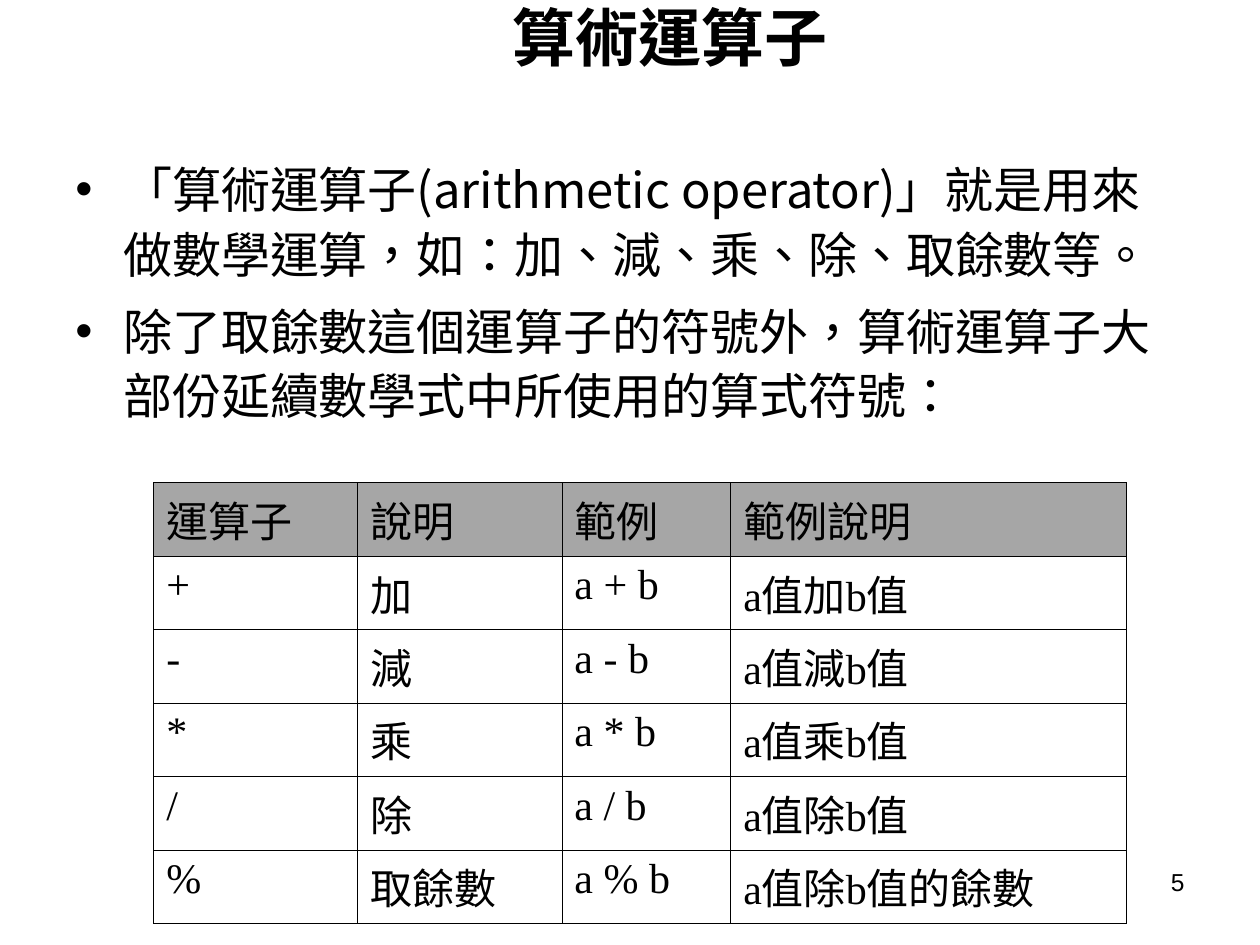
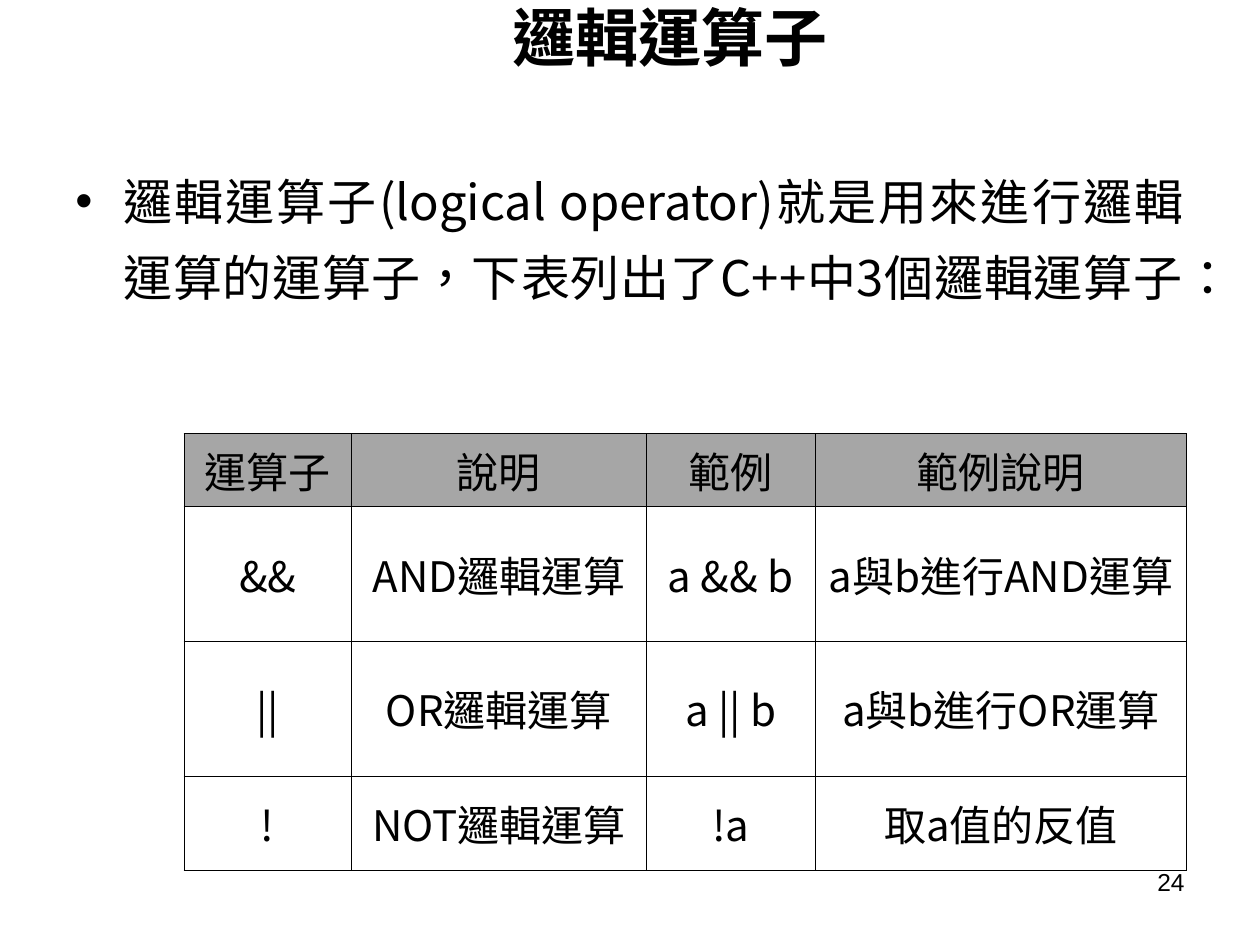
from dataclasses import dataclass

from lxml.etree import SubElement
from pptx import Presentation
from pptx.dml.color import RGBColor
from pptx.enum.text import MSO_ANCHOR, MSO_AUTO_SIZE, PP_ALIGN
from pptx.oxml.ns import qn
from pptx.util import Inches, Pt


# Theme: colours, fonts and type sizes
@dataclass(frozen=True)
class Theme:
    ink: RGBColor = RGBColor(0x00, 0x00, 0x00)
    paper: RGBColor = RGBColor(0xFF, 0xFF, 0xFF)
    header: RGBColor = RGBColor(0xA6, 0xA6, 0xA6)
    heading_font: str = "Arial"
    body_font: str = "Noto Sans CJK SC"
    serif_font: str = "Times New Roman"
    title_size: int = 36
    body_size: int = 28
    table_size: int = 24
    number_size: int = 14
    border: float = 0.45
    hanging: float = 0.38


THEME = Theme()
TITLE_AREA = (1.14, 0, 8.36, 0.58)
NUMBER_AREA = (7.17, 6.83, 2.33, 0.52)
HEADINGS = ("運算子", "說明", "範例", "範例說明")


@dataclass(frozen=True)
class OperatorTable:
    left: float
    top: float
    columns: tuple
    heights: tuple
    rows: tuple
    font: str
    centred: bool = False


@dataclass(frozen=True)
class OperatorPage:
    title: str
    number: str
    bullets: tuple
    body_height: float
    line_spacing: float
    alignment: PP_ALIGN
    table: OperatorTable


# Contents
PAGES = (
    OperatorPage(
        title="算術運算子",
        number="5",
        bullets=(
            "「算術運算子(arithmetic operator)」就是用來做數學運算，如：加、減、乘、除、取餘數等。",
            "除了取餘數這個運算子的符號外，算術運算子大部份延續數學式中所使用的算式符號：",
        ),
        body_height=2.58,
        line_spacing=1.1,
        alignment=PP_ALIGN.LEFT,
        table=OperatorTable(
            left=1.22, top=3.83,
            columns=(1.62, 1.62, 1.34, 3.14),
            heights=(3.5 / 6,) * 6,
            rows=(
                ("+", "加", "a + b", "a值加b值"),
                ("-", "減", "a - b", "a值減b值"),
                ("*", "乘", "a * b", "a值乘b值"),
                ("/", "除", "a / b", "a值除b值"),
                ("%", "取餘數", "a % b", "a值除b值的餘數"),
            ),
            font=THEME.serif_font,
        ),
    ),
    OperatorPage(
        title="邏輯運算子",
        number="24",
        bullets=(
            "邏輯運算子(logical operator)就是用來進行邏輯運算的運算子，下表列出了C++中3個邏輯運算子：",
        ),
        body_height=5.5,
        line_spacing=1.3,
        alignment=PP_ALIGN.JUSTIFY,
        table=OperatorTable(
            left=1.46, top=3.44,
            columns=(1.33, 2.34, 1.34, 2.95),
            heights=(0.58, 1.07, 1.07, 0.75),
            rows=(
                ("&&", "AND邏輯運算", "a && b", "a與b進行AND運算"),
                ("||", "OR邏輯運算", "a || b", "a與b進行OR運算"),
                ("!", "NOT邏輯運算", "!a", "取a值的反值"),
            ),
            font=THEME.body_font,
            centred=True,
        ),
    ),
)


# Text helpers
def set_all(target, values: dict) -> None:
    for name, value in values.items():
        setattr(target, name, value)


def write(para, text: str, font: str, size: int, bold: bool = False) -> None:
    span = para.add_run()
    span.text = text
    set_all(span.font, {"name": font, "size": Pt(size), "bold": bold})
    span.font.color.rgb = THEME.ink
    properties = span.font._element
    properties.set("lang", "zh-TW")
    SubElement(properties, qn("a:ea"), typeface=THEME.body_font)


def hang(para) -> None:
    properties = para._p.get_or_add_pPr()
    properties.set("marL", str(Inches(THEME.hanging)))
    properties.set("indent", str(-Inches(THEME.hanging)))


def add_bullet(para) -> None:
    hang(para)
    properties = para._p.get_or_add_pPr()
    colour = SubElement(properties, qn("a:buClr"))
    SubElement(colour, qn("a:srgbClr"), val=str(THEME.ink))
    SubElement(properties, qn("a:buFont"), typeface=THEME.heading_font)
    SubElement(properties, qn("a:buChar"), char="•")


def add_box(page, area: tuple):
    box = page.shapes.add_textbox(*map(Inches, area))
    box.text_frame.word_wrap = True
    return box.text_frame


# Slide parts
def draw_title(page, text: str) -> None:
    title = page.shapes.title
    set_all(title, dict(zip(("left", "top", "width", "height"), map(Inches, TITLE_AREA))))
    set_all(title.text_frame, {
        "vertical_anchor": MSO_ANCHOR.MIDDLE,
        "auto_size": MSO_AUTO_SIZE.NONE,
        "word_wrap": True,
    })
    para = title.text_frame.paragraphs[0]
    para.alignment = PP_ALIGN.CENTER
    write(para, text, THEME.heading_font, THEME.title_size, bold=True)


def draw_body(page, content: OperatorPage) -> None:
    frame = add_box(page, (0.5, 1.17, 8.99, content.body_height))
    for index, text in enumerate(content.bullets):
        para = frame.add_paragraph() if index else frame.paragraphs[0]
        add_bullet(para)
        set_all(para, {
            "alignment": content.alignment,
            "line_spacing": content.line_spacing,
            "space_before": Pt(7 if index else 0),
        })
        write(para, text, THEME.body_font, THEME.body_size)


def draw_number(page, number: str) -> None:
    para = add_box(page, NUMBER_AREA).paragraphs[0]
    para.alignment = PP_ALIGN.RIGHT
    write(para, number, THEME.heading_font, THEME.number_size)


def draw_borders(cell) -> None:
    properties = cell._tc.get_or_add_tcPr()
    for index, side in enumerate(("lnL", "lnR", "lnT", "lnB")):
        line = properties.makeelement(qn(f"a:{side}"), {"w": str(Pt(THEME.border))})
        fill = SubElement(line, qn("a:solidFill"))
        SubElement(fill, qn("a:srgbClr"), val=str(THEME.ink))
        properties.insert(index, line)


def draw_cell(cell, text: str, table: OperatorTable, is_header: bool) -> None:
    cell.fill.solid()
    cell.fill.fore_color.rgb = THEME.header if is_header else THEME.paper
    draw_borders(cell)
    para = cell.text_frame.paragraphs[0]
    if table.centred:
        hang(para)
        para.alignment = PP_ALIGN.CENTER
        cell.vertical_anchor = MSO_ANCHOR.TOP if is_header else MSO_ANCHOR.MIDDLE
    write(para, text, table.font, THEME.table_size)


def draw_table(page, table: OperatorTable) -> None:
    rows = (HEADINGS, *table.rows)
    area = (table.left, table.top, sum(table.columns), sum(table.heights))
    grid = page.shapes.add_table(len(rows), len(HEADINGS), *map(Inches, area)).table
    set_all(grid, {"first_row": False, "horz_banding": False})
    for column, width in zip(grid.columns, table.columns):
        column.width = Inches(width)
    for row, height in zip(grid.rows, table.heights):
        row.height = Inches(height)
    for row_index, texts in enumerate(rows):
        for column_index, text in enumerate(texts):
            draw_cell(grid.cell(row_index, column_index), text, table, row_index == 0)


def main() -> None:
    deck = Presentation()
    set_all(deck, {"slide_width": Inches(10), "slide_height": Inches(7.5)})
    title_only = deck.slide_layouts[5]
    for content in PAGES:
        page = deck.slides.add_slide(title_only)
        draw_title(page, content.title)
        draw_body(page, content)
        draw_table(page, content.table)
        draw_number(page, content.number)
    deck.save("out.pptx")


if __name__ == "__main__":
    main()
